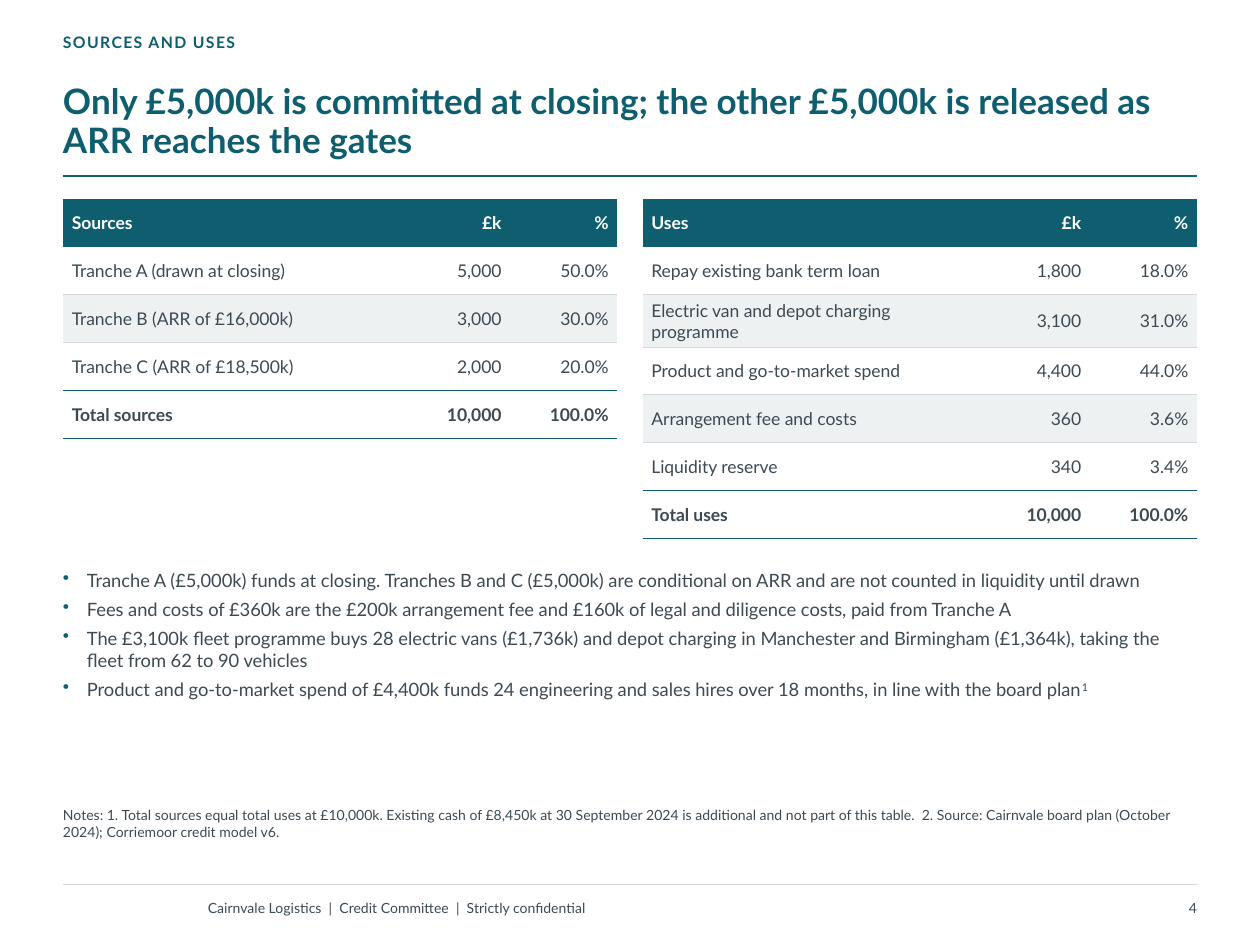
from pptx import Presentation, util as u
from pptx.dml.color import RGBColor
from pptx.enum import shapes, text
from pptx.oxml import ns, xmlchemy as xml

TEAL = RGBColor(0x0E, 0x5E, 0x6F)
SLATE = RGBColor(0x3D, 0x4A, 0x52)
RULE = RGBColor(0xD3, 0xD9, 0xDC)
BAND = RGBColor(0xEE, 0xF1, 0xF2)
WHITE = RGBColor(0xFF, 0xFF, 0xFF)

LEFT, WIDTH = 36, 648
COLUMNS = (198, 57.6, 61.2)
ROW, TALL_ROW = 27.36, 28.8
RIGHT = text.PP_ALIGN.RIGHT
MIDDLE = text.MSO_ANCHOR.MIDDLE
PLAIN_TABLE = "{2D5ABB26-0587-4C30-8999-92F81FD0307C}"

SOURCES = [
    ("Sources", "£k", "%"),
    ("Tranche A (drawn at closing)", "5,000", "50.0%"),
    ("Tranche B (ARR of £16,000k)", "3,000", "30.0%"),
    ("Tranche C (ARR of £18,500k)", "2,000", "20.0%"),
    ("Total sources", "10,000", "100.0%"),
]
USES = [
    ("Uses", "£k", "%"),
    ("Repay existing bank term loan", "1,800", "18.0%"),
    ("Electric van and depot charging programme", "3,100", "31.0%"),
    ("Product and go-to-market spend", "4,400", "44.0%"),
    ("Arrangement fee and costs", "360", "3.6%"),
    ("Liquidity reserve", "340", "3.4%"),
    ("Total uses", "10,000", "100.0%"),
]
POINTS = [
    ["Tranche A (£5,000k) funds at closing. Tranches B and C (£5,000k) are conditional on ARR "
     "and are not counted in liquidity until drawn"],
    ["Fees and costs of £360k are the £200k arrangement fee and £160k of legal and diligence "
     "costs, paid from Tranche A"],
    ["The £3,100k fleet programme buys 28 electric vans (£1,736k) and depot charging in "
     "Manchester and Birmingham (£1,364k), taking the fleet from 62 to 90 vehicles"],
    ["Product and go-to-market spend of £4,400k funds 24 engineering and sales hires over "
     "18 months, in line with the board plan", "1"],
]


def add_element(parent, tag, **attributes):
    element = xml.OxmlElement(tag)
    for name, value in attributes.items():
        element.set(name, str(value))
    parent.append(element)
    return element


class SlideBuilder:
    """Draws styled elements on the current slide, with lengths in points."""

    font = "Lato"

    def __init__(self, page):
        self.page = page

    def span(self, para, words, size, color=SLATE, bold=False, spacing=None, raised=False):
        span = para.add_run()
        span.text = words
        span.font.name = self.font
        span.font.size = u.Pt(size)
        span.font.bold = bold
        span.font.color.rgb = color
        properties = span.font._element
        if spacing:
            properties.set("spc", str(round(spacing * 100)))
        if raised:
            properties.set("baseline", "30000")

    def frame(self, left, top, width, height, insets=(0, 0, 0, 0), anchor=text.MSO_ANCHOR.TOP):
        box = self.page.shapes.add_textbox(*map(u.Pt, (left, top, width, height)))
        frame = box.text_frame
        frame.word_wrap = True
        frame.vertical_anchor = anchor
        (frame.margin_left, frame.margin_top,
         frame.margin_right, frame.margin_bottom) = map(u.Pt, insets)
        return frame

    def label(self, place, words, size, insets=(0, 0, 0, 0), anchor=text.MSO_ANCHOR.TOP,
              align=None, line_spacing=None, **style):
        para = self.frame(*place, insets, anchor).paragraphs[0]
        para.alignment = align
        para.line_spacing = line_spacing
        self.span(para, words, size, **style)

    def bullets(self, place, points, size, insets):
        frame = self.frame(*place, insets)
        for index, spans in enumerate(points):
            para = frame.add_paragraph() if index else frame.paragraphs[0]
            properties = para._p.get_or_add_pPr()
            properties.set("marL", str(u.Pt(13.68)))
            properties.set("indent", str(-u.Pt(13.68)))
            color = add_element(properties, "a:buClr")
            add_element(color, "a:srgbClr", val=TEAL)
            add_element(properties, "a:buChar", char="•")
            if index:
                para.space_before = u.Pt(4)
            for order, words in enumerate(spans):
                self.span(para, words, size, raised=order > 0)

    def rule(self, top, color, weight):
        line = self.page.shapes.add_connector(
            shapes.MSO_CONNECTOR.STRAIGHT, *map(u.Pt, (LEFT, top, LEFT + WIDTH, top)))
        line.line.color.rgb = color
        line.line.width = u.Pt(weight)
        add_element(line._element.spPr, "a:effectLst")

    def border(self, cell, side, color, weight):
        line = add_element(cell._tc.get_or_add_tcPr(), "a:ln" + side, w=u.Pt(weight))
        fill = add_element(line, "a:solidFill")
        add_element(fill, "a:srgbClr", val=color)

    def table(self, left, top, rows, tall_rows=()):
        heights = [TALL_ROW if i in tall_rows else ROW for i in range(len(rows))]
        graphic = self.page.shapes.add_table(
            len(rows), len(COLUMNS), *map(u.Pt, (left, top, sum(COLUMNS), sum(heights))))
        table = graphic.table
        table._tbl.tblPr.find(ns.qn("a:tableStyleId")).text = PLAIN_TABLE
        for column, width in zip(table.columns, COLUMNS):
            column.width = u.Pt(width)
        for i, (values, height) in enumerate(zip(rows, heights)):
            table.rows[i].height = u.Pt(height)
            header, total = i == 0, i == len(rows) - 1
            for j, value in enumerate(values):
                cell = table.cell(i, j)
                cell.vertical_anchor = MIDDLE
                cell.margin_left = cell.margin_right = u.Pt(5.04)
                cell.margin_top = cell.margin_bottom = u.Pt(2.88)
                if total:
                    self.border(cell, "T", TEAL, 1)
                    self.border(cell, "B", TEAL, 1)
                elif not header:
                    self.border(cell, "B", RULE, 0.5)
                if header or (i % 2 == 0 and not total):
                    cell.fill.solid()
                    cell.fill.fore_color.rgb = TEAL if header else BAND
                else:
                    cell.fill.background()
                para = cell.text_frame.paragraphs[0]
                if j:
                    para.alignment = RIGHT
                self.span(para, value, 10, WHITE if header else SLATE, bold=header or total)


def main():
    deck = Presentation()
    deck.slide_width, deck.slide_height = u.Pt(720), u.Pt(540)
    slide = SlideBuilder(deck.slides.add_slide(deck.slide_layouts[6]))

    slide.rule(505.44, RULE, 0.75)
    slide.rule(100.8, TEAL, 1.25)
    slide.label((LEFT, 18.72, 504, 17.28), "SOURCES AND USES", 9,
                color=TEAL, bold=True, spacing=0.8)
    slide.label((LEFT, 36, WIDTH, 59.04),
                "Only £5,000k is committed at closing; the other £5,000k is released as "
                "ARR reaches the gates", 20, insets=(0, 0, 0, 2.88),
                anchor=text.MSO_ANCHOR.BOTTOM, line_spacing=0.92, color=TEAL, bold=True)

    slide.table(LEFT, 113.76, SOURCES)
    slide.table(LEFT + WIDTH - sum(COLUMNS), 113.76, USES, tall_rows=(2,))

    slide.bullets((LEFT, 324, WIDTH, 129.6), POINTS, 10.5, (0, 1.44, 0, 0))
    slide.label((LEFT, 460.8, WIDTH, 41.76),
                "Notes: 1. Total sources equal total uses at £10,000k. Existing cash of £8,450k "
                "at 30 September 2024 is additional and not part of this table.  2. Source: "
                "Cairnvale board plan (October 2024); Corriemoor credit model v6.", 8)
    slide.label((118.8, 509.76, 403.2, 18.72),
                "Cairnvale Logistics  |  Credit Committee  |  Strictly confidential", 8,
                insets=(0, 3.6, 7.2, 3.6), anchor=MIDDLE)
    slide.label((612, 509.76, 72, 18.72), "4", 8,
                insets=(7.2, 3.6, 0, 3.6), anchor=MIDDLE, align=RIGHT)

    deck.save("out.pptx")


if __name__ == "__main__":
    main()
